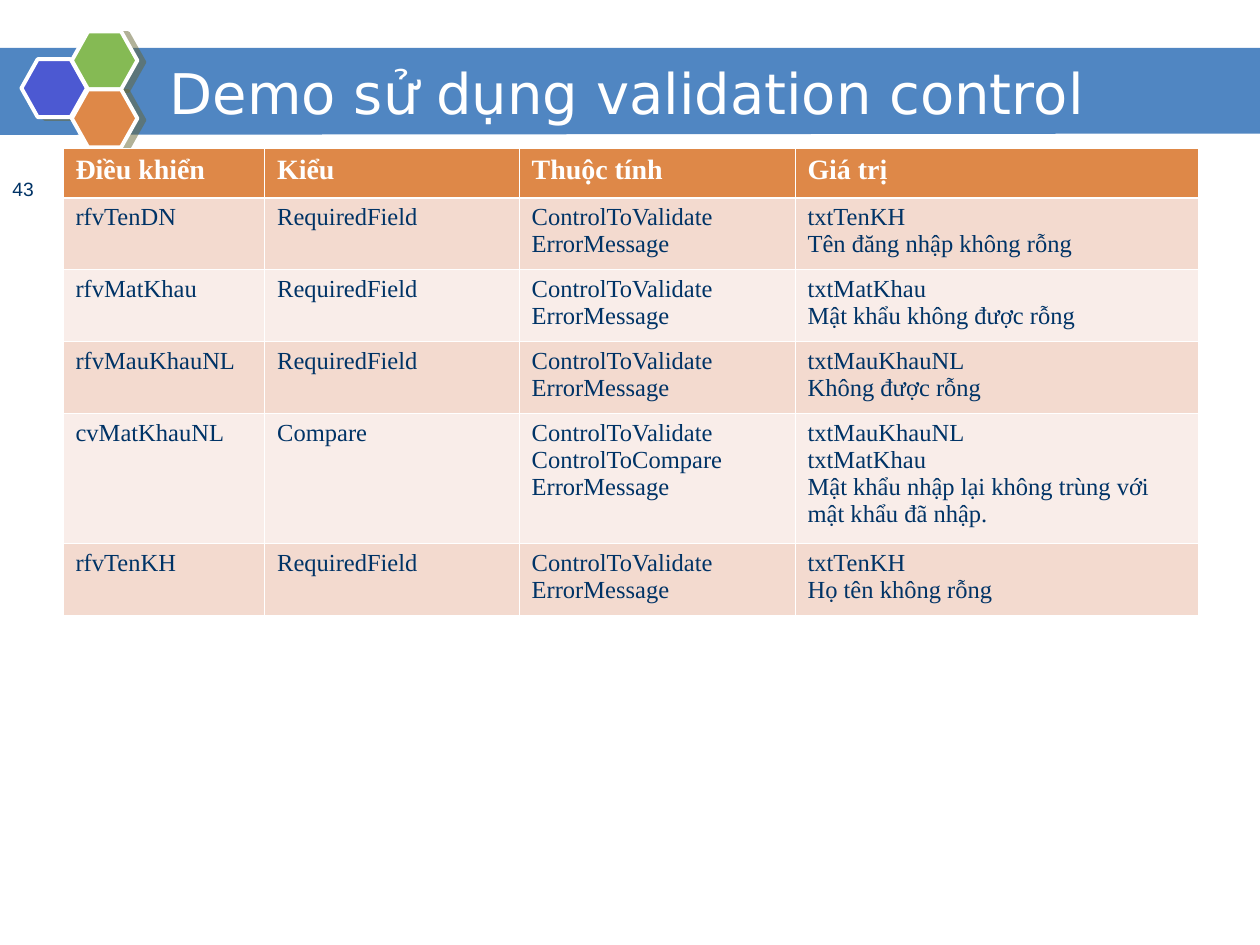
from lxml import etree
from pptx import Presentation
from pptx.dml.color import RGBColor
from pptx.enum.shapes import MSO_SHAPE
from pptx.enum.text import MSO_ANCHOR
from pptx.oxml.ns import qn
from pptx.util import Inches, Pt

HEXAGON = MSO_SHAPE.HEXAGON
MIDDLE, TOP = MSO_ANCHOR.MIDDLE, MSO_ANCHOR.TOP

WHITE = RGBColor(0xFF, 0xFF, 0xFF)
NAVY = RGBColor(0x00, 0x33, 0x66)
BLUE = RGBColor(0x50, 0x86, 0xC2)
INDIGO = RGBColor(0x4C, 0x59, 0xD2)
GREEN = RGBColor(0x85, 0xBA, 0x54)
ORANGE = RGBColor(0xDE, 0x88, 0x48)
PEACH = RGBColor(0xF3, 0xDA, 0xCF)
PALE_PEACH = RGBColor(0xF9, 0xED, 0xE9)
OLIVE = RGBColor(0x66, 0x66, 0x33)

TITLE = "Demo sử dụng validation control"
PAGE_NUMBER = "43"
HEADER = ["Điều khiển", "Kiểu", "Thuộc tính", "Giá trị"]
CONTROLS = [
    ("rfvTenDN", "RequiredField", [
        ("ControlToValidate", "txtTenKH"),
        ("ErrorMessage", "Tên đăng nhập không rỗng")]),
    ("rfvMatKhau", "RequiredField", [
        ("ControlToValidate", "txtMatKhau"),
        ("ErrorMessage", "Mật khẩu không được rỗng")]),
    ("rfvMauKhauNL", "RequiredField", [
        ("ControlToValidate", "txtMauKhauNL"),
        ("ErrorMessage", "Không được rỗng")]),
    ("cvMatKhauNL", "Compare", [
        ("ControlToValidate", "txtMauKhauNL"),
        ("ControlToCompare", "txtMatKhau"),
        ("ErrorMessage", "Mật khẩu nhập lại không trùng với mật khẩu đã nhập.")]),
    ("rfvTenKH", "RequiredField", [
        ("ControlToValidate", "txtTenKH"),
        ("ErrorMessage", "Họ tên không rỗng")]),
]

BAND_CORNERS = [(-0.01, 0.38), (10, 0.38), (10, 1.06), (-0.01, 1.07)]
HEXAGONS = [(0.17, 0.47, INDIGO), (0.57, 0.25, GREEN), (0.57, 0.71, ORANGE)]
HEXAGON_SIZE = (0.52, 0.46)
TABLE_AT = (0.5, 1.18)
COLUMN_WIDTHS = [1.6, 2.02, 2.19, 3.2]
ROW_HEIGHTS = [0.39, 0.57, 0.57, 0.57, 1.03, 0.57]
THIN, THICK = 0.45, 1.47


def add_band(slide):
    builder = slide.shapes.build_freeform(
        *[Inches(v) for v in BAND_CORNERS[0]])
    builder.add_line_segments(
        [(Inches(x), Inches(y)) for x, y in BAND_CORNERS[1:]], close=True)
    band = builder.convert_to_shape()
    band.shadow.inherit = False
    band.fill.solid()
    band.fill.fore_color.rgb = BLUE
    band.line.fill.background()


def add_hexagon(slide, left, top, color):
    hexagon = slide.shapes.add_shape(
        HEXAGON, *[Inches(v) for v in (left, top, *HEXAGON_SIZE)])
    hexagon.adjustments[0] = 0.28
    hexagon.fill.solid()
    hexagon.fill.fore_color.rgb = color
    hexagon.line.color.rgb = WHITE
    hexagon.line.width = Pt(2.25)
    hexagon.shadow.inherit = False
    effects = hexagon.element.spPr.find(qn("a:effectLst"))
    shadow = etree.SubElement(effects, qn("a:outerShdw"), blurRad="0",
                              dist=str(Pt(4.1)), dir=str(14 * 60000),
                              algn="ctr", rotWithShape="0")
    tint = etree.SubElement(shadow, qn("a:srgbClr"), val=str(OLIVE))
    etree.SubElement(tint, qn("a:alpha"), val="50000")


def write(frame, lines, font_name, size, color, bold=False):
    frame.text = "\n".join(lines)
    for para in frame.paragraphs:
        para.font.name = font_name
        para.font.size = Pt(size)
        para.font.color.rgb = color
        para.font.bold = bold


def add_text(slide, place, text, font_name, size, color, anchor):
    box = slide.shapes.add_textbox(*[Inches(v) for v in place])
    frame = box.text_frame
    frame.word_wrap = True
    frame.vertical_anchor = anchor
    write(frame, [text], font_name, size, color)
    return frame


def set_borders(cell, top, bottom):
    properties = cell._tc.get_or_add_tcPr()
    sides = [("L", THIN), ("R", THIN), ("T", top), ("B", bottom)]
    for index, (side, width) in enumerate(sides):
        line = etree.Element(qn(f"a:ln{side}"), w=str(Pt(width)))
        fill = etree.SubElement(line, qn("a:solidFill"))
        etree.SubElement(fill, qn("a:srgbClr"), val=str(WHITE))
        properties.insert(index, line)


def add_control_table(slide):
    rows = [[[label] for label in HEADER]]
    for name, kind, settings in CONTROLS:
        attributes, values = zip(*settings)
        rows.append([[name], [kind], attributes, values])

    size = (sum(COLUMN_WIDTHS), sum(ROW_HEIGHTS))
    table = slide.shapes.add_table(
        len(rows), len(HEADER), *[Inches(v) for v in TABLE_AT + size]).table
    for column, width in zip(table.columns, COLUMN_WIDTHS):
        column.width = Inches(width)
    for row, height in zip(table.rows, ROW_HEIGHTS):
        row.height = Inches(height)

    for r, row in enumerate(rows):
        is_header = r == 0
        fill = ORANGE if is_header else PEACH if r % 2 else PALE_PEACH
        for c, lines in enumerate(row):
            cell = table.cell(r, c)
            cell.fill.solid()
            cell.fill.fore_color.rgb = fill
            set_borders(cell, top=THICK if r == 1 else THIN,
                        bottom=THICK if is_header else THIN)
            write(cell.text_frame, lines, "Times New Roman",
                  16 if is_header else 14,
                  WHITE if is_header else NAVY, is_header)


def main():
    deck = Presentation()
    deck.slide_width, deck.slide_height = Inches(10), Inches(7.5)
    slide = deck.slides.add_slide(deck.slide_layouts[6])
    add_band(slide)
    for left, top, color in HEXAGONS:
        add_hexagon(slide, left, top, color)
    add_text(slide, (1.25, 0.42, 8.5, 0.62), TITLE,
             "DejaVu Sans", 32, WHITE, MIDDLE)
    add_control_table(slide)
    number = add_text(slide, (0, 1.39, 0.58, 0.27), PAGE_NUMBER,
                      "Arial", 11, NAVY, TOP)
    number.paragraphs[0].line_spacing = 0.8
    deck.save("out.pptx")


if __name__ == "__main__":
    main()
